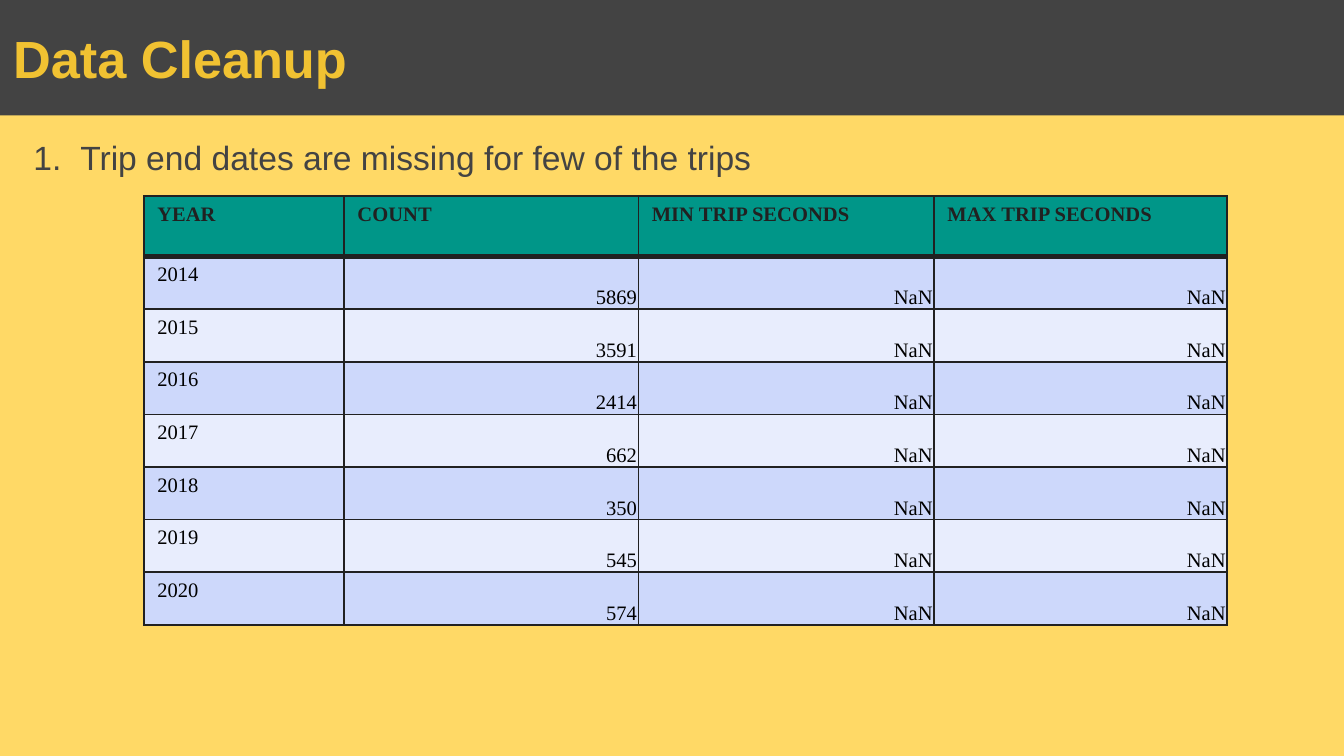
from lxml import etree
from pptx import Presentation
from pptx.dml.color import RGBColor
from pptx.enum import shapes, text
from pptx.oxml.ns import qn
from pptx.util import Inches, Pt

DARK = RGBColor(0x43, 0x43, 0x43)
GOLD = RGBColor(0xF1, 0xC2, 0x32)
YELLOW = RGBColor(0xFF, 0xD9, 0x66)
TEAL = RGBColor(0x00, 0x96, 0x88)
INK = RGBColor(0x21, 0x21, 0x21)
BLACK = RGBColor(0, 0, 0)
BANDS = (RGBColor(0xCD, 0xD8, 0xFB), RGBColor(0xE8, 0xED, 0xFD))

HEADERS = ("YEAR", "COUNT", "MIN TRIP SECONDS", "MAX TRIP SECONDS")
COUNTS = {2014: 5869, 2015: 3591, 2016: 2414, 2017: 662,
          2018: 350, 2019: 545, 2020: 574}
COL_WIDTHS = (1.49, 2.19, 2.2, 2.18)
TABLE_HEIGHT, HEADER_HEIGHT = 3.19, 0.45
ROW_HEIGHT = (TABLE_HEIGHT - HEADER_HEIGHT) / len(COUNTS)


def set_insets(target, left, top, right, bottom):
    target.margin_left, target.margin_top = Inches(left), Inches(top)
    target.margin_right, target.margin_bottom = Inches(right), Inches(bottom)


def write(tf, words, name, size, color, bold=False):
    tf.text = words
    p = tf.paragraphs[0]
    font = p.runs[0].font
    font.name, font.size, font.bold = name, Pt(size), bold
    font.color.rgb = color
    return p


def add_title(s, words):
    sp = s.shapes.add_shape(shapes.MSO_SHAPE.RECTANGLE, 0, 0,
                            Inches(10), Inches(0.86))
    sp.shadow.inherit = False
    sp.fill.solid()
    sp.fill.fore_color.rgb = DARK
    sp.line.fill.background()
    tf = sp.text_frame
    tf.word_wrap = True
    tf.vertical_anchor = text.MSO_ANCHOR.MIDDLE
    set_insets(tf, 0.1, 0.1, 0.1, 0.1)
    write(tf, words, "Arial", 28, GOLD, True).alignment = text.PP_ALIGN.LEFT


def add_numbered_text(s, words):
    sp = s.shapes.add_textbox(0, Inches(0.87), Inches(10), Inches(4.75))
    tf = sp.text_frame
    tf.word_wrap = True
    set_insets(tf, 0.1, 0.1, 0.1, 0.1)
    p = write(tf, words, "Arial", 18, DARK)
    p.line_spacing = 1.15
    pPr = p._p.get_or_add_pPr()
    pPr.set("marL", str(Inches(0.5)))
    pPr.set("indent", str(Inches(-0.35)))
    color = etree.SubElement(pPr, qn("a:buClr"))
    etree.SubElement(color, qn("a:srgbClr"), val=str(DARK))
    etree.SubElement(pPr, qn("a:buFont"), typeface="Arial")
    etree.SubElement(pPr, qn("a:buAutoNum"), type="arabicPeriod")


def set_borders(cell, **widths):
    tcPr = cell._tc.get_or_add_tcPr()
    for side in "LRTB":
        ln = etree.SubElement(tcPr, qn(f"a:ln{side}"),
                              w=str(Pt(widths.get(side, 1))))
        fill = etree.SubElement(ln, qn("a:solidFill"))
        etree.SubElement(fill, qn("a:srgbClr"), val=str(INK))


def fill_cell(cell, words, row, col):
    header = row == 0
    p = write(cell.text_frame, words, "Times New Roman", 11,
              INK if header else BLACK, header)
    if header or col == 0:
        set_insets(cell, 0.1, 0.05, 0.1, 0.05)
    else:
        set_insets(cell, 0.01, 0.01, 0.01, 0)
        cell.vertical_anchor = text.MSO_ANCHOR.BOTTOM
        p.alignment = text.PP_ALIGN.RIGHT
    set_borders(cell, T=3 if row == 1 else 1, B=3 if header else 1)
    cell.fill.solid()
    cell.fill.fore_color.rgb = TEAL if header else BANDS[(row - 1) % 2]


def add_trip_table(s):
    rows = [HEADERS] + [(str(year), str(count), "NaN", "NaN")
                        for year, count in COUNTS.items()]
    table = s.shapes.add_table(len(rows), len(HEADERS), Inches(1.07), Inches(1.46),
                               Inches(sum(COL_WIDTHS)), Inches(TABLE_HEIGHT)).table
    for column, width in zip(table.columns, COL_WIDTHS):
        column.width = Inches(width)
    for i, values in enumerate(rows):
        table.rows[i].height = Inches(ROW_HEIGHT if i else HEADER_HEIGHT)
        for j, words in enumerate(values):
            fill_cell(table.cell(i, j), words, i, j)


def main():
    prs = Presentation()
    prs.slide_width = Inches(10)
    prs.slide_height = prs.slide_width * 9 // 16
    s = prs.slides.add_slide(prs.slide_layouts[6])
    s.background.fill.solid()
    s.background.fill.fore_color.rgb = YELLOW
    add_numbered_text(s, "Trip end dates are missing for few of the trips")
    add_trip_table(s)
    add_title(s, "Data Cleanup")
    prs.save("out.pptx")


if __name__ == "__main__":
    main()
